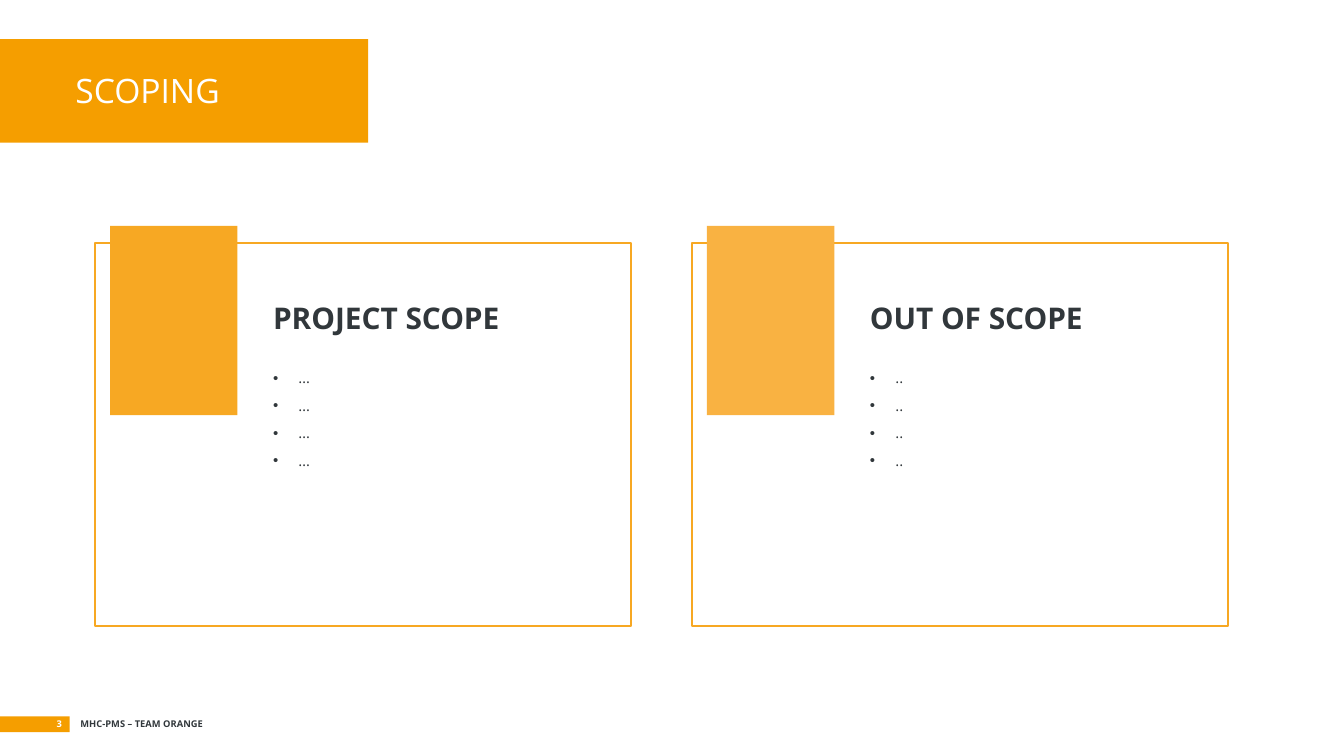
from lxml import etree
from pptx import Presentation
from pptx.dml.color import RGBColor
from pptx.enum.shapes import MSO_SHAPE
from pptx.enum.text import MSO_ANCHOR, MSO_AUTO_SIZE, PP_ALIGN
from pptx.oxml.ns import qn
from pptx.util import Cm, Pt

RECTANGLE = MSO_SHAPE.RECTANGLE
MIDDLE, TOP = MSO_ANCHOR.MIDDLE, MSO_ANCHOR.TOP
LEFT, RIGHT = PP_ALIGN.LEFT, PP_ALIGN.RIGHT
NO_AUTOFIT = MSO_AUTO_SIZE.NONE

ORANGE = RGBColor(0xF5, 0x9E, 0x00)
AMBER = RGBColor(0xF7, 0xA8, 0x23)
LIGHT_AMBER = RGBColor(0xF9, 0xB2, 0x42)
DARK = RGBColor(0x31, 0x37, 0x3B)
WHITE = RGBColor(0xFF, 0xFF, 0xFF)

FONT = "Open Sans"
TWO_CONTENT_LAYOUT = 3
FIRST_CARD_LEFT = 1.8
CARD_PITCH = 11.28
CARDS = [
    ("PROJECT SCOPE", ["…"] * 4, AMBER),
    ("OUT OF SCOPE", [".."] * 4, LIGHT_AMBER),
]


def place(shape, left, top, width, height):
    shape.left, shape.top = Cm(left), Cm(top)
    shape.width, shape.height = Cm(width), Cm(height)


def bring_to_front(page, shape):
    page.shapes._spTree.append(shape._element)


def format_paragraph(para, size, color, bold=False, align=LEFT, spacing=1.0, before=0):
    para.alignment = align
    para.line_spacing = spacing
    para.space_before = Pt(before)
    for span in para.runs:
        span.font.name = FONT
        span.font.size = Pt(size)
        span.font.bold = bold
        span.font.color.rgb = color


def set_bullet(para, character, indent):
    properties = para._p.get_or_add_pPr()
    properties.set("marL", str(Cm(indent)))
    properties.set("indent", str(-Cm(indent)))
    if character:
        etree.SubElement(properties, qn("a:buChar")).set("char", character)
    else:
        etree.SubElement(properties, qn("a:buNone"))


def add_block(page, left, top, width, height, color):
    block = page.shapes.add_shape(
        RECTANGLE, Cm(left), Cm(top), Cm(width), Cm(height))
    block.shadow.inherit = False
    block.fill.solid()
    block.fill.fore_color.rgb = color
    block.line.fill.background()
    return block


def add_frame(page, left, top, width, height):
    frame = add_block(page, left, top, width, height, WHITE)
    color = frame._element.spPr.find(qn("a:solidFill"))[0]
    etree.SubElement(color, qn("a:alpha")).set("val", "10000")
    frame.line.color.rgb = AMBER
    frame.line.width = Pt(1)


def add_footer_text(page, left, width, text, color, align):
    box = page.shapes.add_textbox(Cm(left), Cm(13.51), Cm(width), Cm(0.41))
    box.text_frame.word_wrap = False
    box.text_frame.vertical_anchor = MIDDLE
    box.text_frame.text = text
    format_paragraph(box.text_frame.paragraphs[0], 5, color, True, align, 0.7)


def fill_title(page, text):
    title = page.shapes.title
    place(title, 1.17, 0.61, 5.44, 2.31)
    frame = title.text_frame
    frame.text = text
    frame.auto_size = NO_AUTOFIT
    frame.vertical_anchor = MIDDLE
    format_paragraph(frame.paragraphs[0], 18, WHITE, spacing=0.8)
    bring_to_front(page, title)


def fill_body(page, body, left, heading, items):
    place(body, left, 5.33, 5.99, 3.91)
    frame = body.text_frame
    frame.margin_left = frame.margin_right = 0
    frame.margin_top = frame.margin_bottom = 0
    frame.auto_size = NO_AUTOFIT
    frame.vertical_anchor = TOP
    frame.text = "\n".join([heading, *items])
    title, *bullets = frame.paragraphs
    format_paragraph(title, 16, DARK, bold=True, spacing=1.5)
    set_bullet(title, None, 0)
    for index, para in enumerate(bullets):
        before = 13 if index == 0 else 0.4
        format_paragraph(para, 8, DARK, spacing=1.5, before=before)
        set_bullet(para, "•", 0.48)
    bring_to_front(page, body)


def add_card(page, body, left, heading, items, color):
    add_frame(page, left, 4.6, 10.13, 7.24)
    add_block(page, left + 0.28, 4.27, 2.41, 3.58, color)
    fill_body(page, body, left + 3.36, heading, items)


def main():
    deck = Presentation()
    deck.slide_width, deck.slide_height = Cm(25.4), Cm(14.29)
    page = deck.slides.add_slide(deck.slide_layouts[TWO_CONTENT_LAYOUT])
    bodies = [page.placeholders[1], page.placeholders[2]]

    add_block(page, 0, 0.74, 6.96, 1.96, ORANGE)
    add_block(page, 0, 13.54, 1.32, 0.3, ORANGE)
    add_footer_text(page, 1.27, 2.95, "MHC-PMS – TEAM ORANGE", DARK, LEFT)
    add_footer_text(page, 0.66, 0.76, "3", WHITE, RIGHT)
    fill_title(page, "SCOPING")

    for index, (body, card) in enumerate(zip(bodies, CARDS)):
        add_card(page, body, FIRST_CARD_LEFT + index * CARD_PITCH, *card)

    deck.save("out.pptx")


if __name__ == "__main__":
    main()
